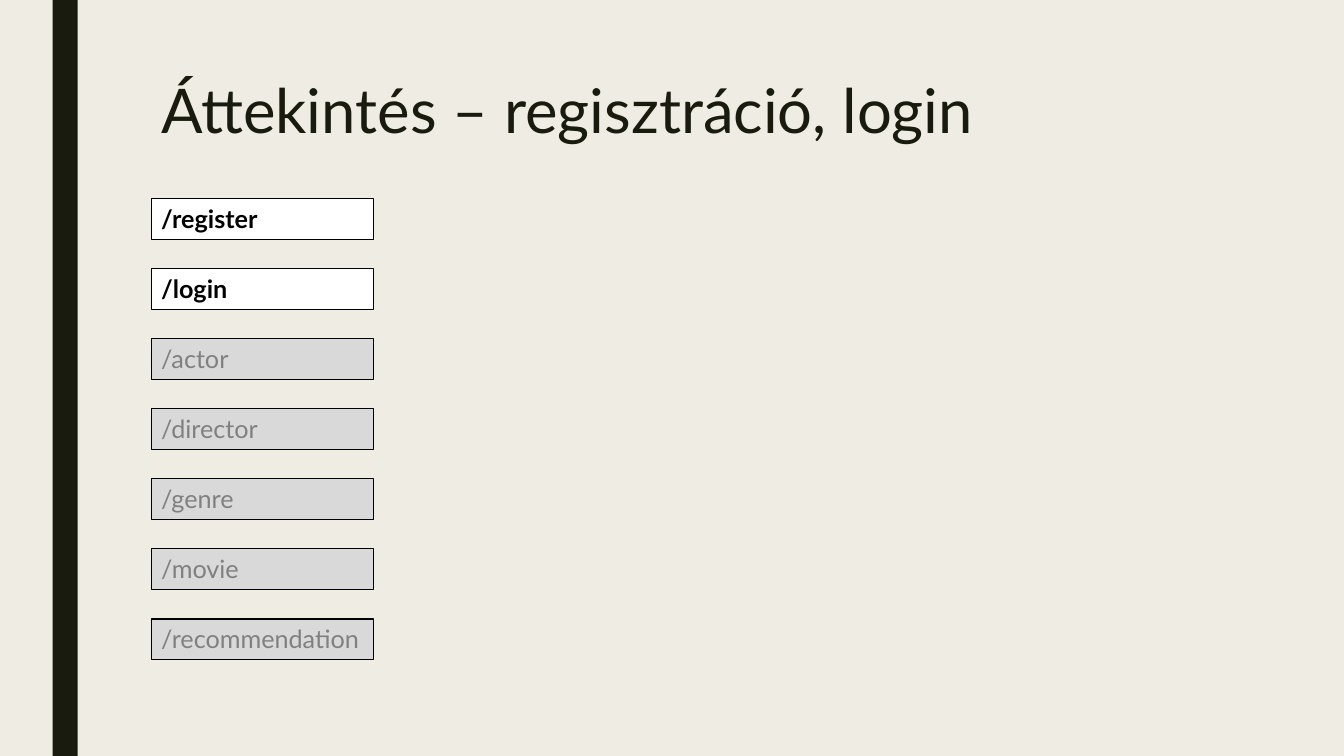
"""Build the overview slide listing the registration and login routes."""
from pptx import Presentation
from pptx.dml import color
from pptx.enum import shapes, text
from pptx.util import Pt

INK, PAPER = "191B0E", "EFEDE3"
ACTIVE = ("FFFFFF", "000000", True)
INACTIVE = ("D9D9D9", "808080", False)
ROUTES = [
    ("/register", ACTIVE),
    ("/login", ACTIVE),
    ("/actor", INACTIVE),
    ("/director", INACTIVE),
    ("/genre", INACTIVE),
    ("/movie", INACTIVE),
    ("/recommendation", INACTIVE),
]
LEFT, FIRST_TOP, PITCH = 108, 142, 50


def paint(target, value):
    if hasattr(target, "solid"):
        target.solid()
        target = target.fore_color
    target.rgb = color.RGBColor.from_string(value)


def write(frame, words, size, ink, bold=False):
    para = frame.paragraphs[0]
    para.alignment = text.PP_ALIGN.LEFT
    span = para.add_run()
    span.text = words
    span.font.name = "Lato"
    span.font.size = Pt(size)
    span.font.bold = bold
    paint(span.font.color, ink)
    return para


deck = Presentation()
deck.slide_width, deck.slide_height = Pt(960), Pt(540)
page = deck.slides.add_slide(deck.slide_layouts[5])
paint(page.background.fill, PAPER)

stripe = page.shapes.add_shape(
    shapes.MSO_SHAPE.RECTANGLE, Pt(37.5), Pt(0), Pt(18), Pt(540))
stripe.shadow.inherit = False
paint(stripe.fill, INK)
stripe.line.fill.background()

title = page.shapes.title
title.left, title.top = Pt(LEFT), Pt(54)
title.width, title.height = Pt(756), Pt(117)
title.text_frame.vertical_anchor = text.MSO_ANCHOR.TOP
title.text_frame.auto_size = text.MSO_AUTO_SIZE.NONE
heading = write(title.text_frame, "Áttekintés – regisztráció, login", 44, INK)
heading.line_spacing = 0.89

for row, (route, (fill, ink, bold)) in enumerate(ROUTES):
    box = page.shapes.add_shape(
        shapes.MSO_SHAPE.RECTANGLE,
        Pt(LEFT), Pt(FIRST_TOP + row * PITCH), Pt(159), Pt(29))
    box.shadow.inherit = False
    paint(box.fill, fill)
    paint(box.line.fill, "000000")
    box.line.width = Pt(1)
    box.text_frame.word_wrap = True
    box.text_frame.auto_size = text.MSO_AUTO_SIZE.SHAPE_TO_FIT_TEXT
    box.text_frame.vertical_anchor = text.MSO_ANCHOR.TOP
    write(box.text_frame, route, 18, ink, bold)

deck.save("out.pptx")
